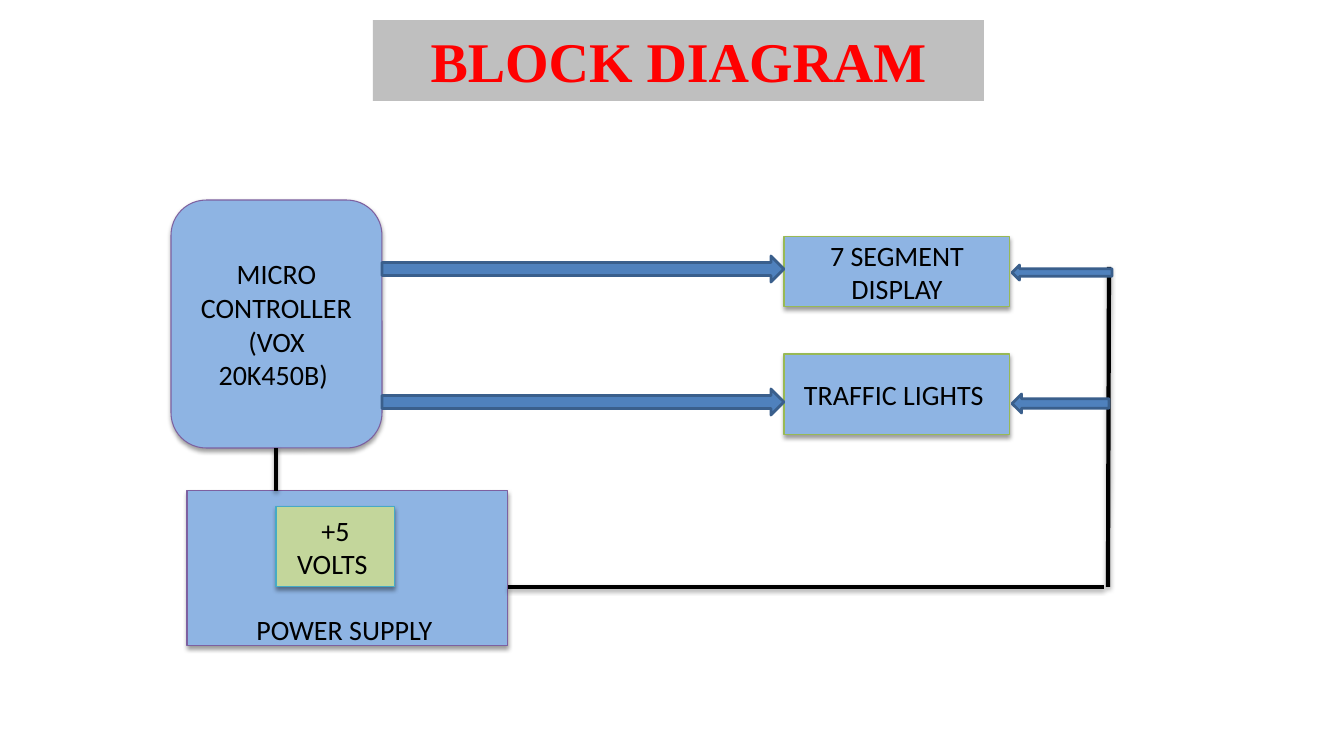
from lxml import etree
from pptx import Presentation
from pptx import util as u
from pptx.dml.color import RGBColor
from pptx.enum import shapes, text
from pptx.oxml.ns import qn

SCALE = 914400 / 100.8
BLACK = RGBColor(0x00, 0x00, 0x00)
RED = RGBColor(0xFF, 0x00, 0x00)
GRAY = RGBColor(0xBF, 0xBF, 0xBF)
SKY = RGBColor(0x8E, 0xB4, 0xE3)
LIME = RGBColor(0xC3, 0xD6, 0x9B)
BLUE = RGBColor(0x4F, 0x81, 0xBD)
NAVY = RGBColor(0x3A, 0x5F, 0x8C)
PLUM = RGBColor(0x7D, 0x60, 0xA0)
GREEN = RGBColor(0x98, 0xB9, 0x55)
TEAL = RGBColor(0x46, 0xAA, 0xC5)
KIND = shapes.MSO_SHAPE


def px(*vals):
    return [u.Emu(round(v * SCALE)) for v in vals]


def shade(item, alpha=0, dist=20000):
    group = etree.SubElement(item._element.spPr, qn("a:effectLst"))
    if alpha:
        outer = etree.SubElement(group, qn("a:outerShdw"), blurRad="40000",
                                 dist=str(dist), dir="5400000", rotWithShape="0")
        color = etree.SubElement(outer, qn("a:srgbClr"), val=str(BLACK))
        etree.SubElement(color, qn("a:alpha"), val=str(alpha * 1000))


def shape(slide, kind, area, fill, edge=None, width=0.75, alpha=0):
    item = slide.shapes.add_shape(kind, *px(*area))
    item.fill.solid()
    item.fill.fore_color.rgb = fill
    if edge is None:
        item.line.fill.background()
    else:
        item.line.color.rgb = edge
        item.line.width = u.Pt(width)
    shade(item, alpha)
    return item


def write(item, lines, size=20, font="Calibri", color=BLACK, bold=False):
    frame = item.text_frame
    frame.word_wrap = True
    frame.vertical_anchor = text.MSO_ANCHOR.MIDDLE
    for i, line in enumerate(lines):
        para = frame.add_paragraph() if i else frame.paragraphs[0]
        para.alignment = text.PP_ALIGN.CENTER
        run = para.add_run()
        run.text = line
        run.font.size = u.Pt(size)
        run.font.name = font
        run.font.bold = bold
        run.font.color.rgb = color
    return frame


def block(slide, area, lines, edge, fill=SKY, kind=KIND.RECTANGLE):
    return write(shape(slide, kind, area, fill, edge, alpha=38), lines)


def arrow(slide, area, turn=0):
    item = shape(slide, KIND.RIGHT_ARROW, area, BLUE, NAVY, 2)
    item.rotation = turn


def wire(slide, ends):
    item = slide.shapes.add_connector(shapes.MSO_CONNECTOR.STRAIGHT, *px(*ends))
    item.line.color.rgb = BLACK
    item.line.width = u.Pt(3)
    shade(item, 35, 23000)


def main():
    deck = Presentation()
    deck.slide_width, deck.slide_height = px(1344, 756)
    slide = deck.slides.add_slide(deck.slide_layouts[6])

    block(slide, (171, 200, 211, 248),
          ["MICRO", "CONTROLLER", "(VOX 20K450B) "], PLUM, kind=KIND.ROUNDED_RECTANGLE)
    block(slide, (784, 237, 226, 70), ["7 SEGMENT DISPLAY"], GREEN)
    block(slide, (784, 354, 226, 81), ["TRAFFIC LIGHTS "], GREEN)
    power = block(slide, (187, 491, 321, 155), ["POWER SUPPLY "], PLUM)
    power.vertical_anchor = text.MSO_ANCHOR.BOTTOM
    power.margin_bottom = 0
    block(slide, (276, 507, 119, 80), ["+5 VOLTS "], TEAL, LIME)

    for top in (256, 389):
        arrow(slide, (382, top, 402, 26))
    for ends in ((276, 448, 276, 491), (508, 587, 1104, 587), (1108, 587, 1109, 267)):
        wire(slide, ends)
    arrow(slide, (1012, 265, 100, 15), 180)
    arrow(slide, (1012, 394, 97, 19), 180)

    title = shape(slide, KIND.RECTANGLE, (373, 20, 611, 81), GRAY)
    write(title, ["BLOCK DIAGRAM"], 40, "Times New Roman", RED, True)
    deck.save("out.pptx")


main()
